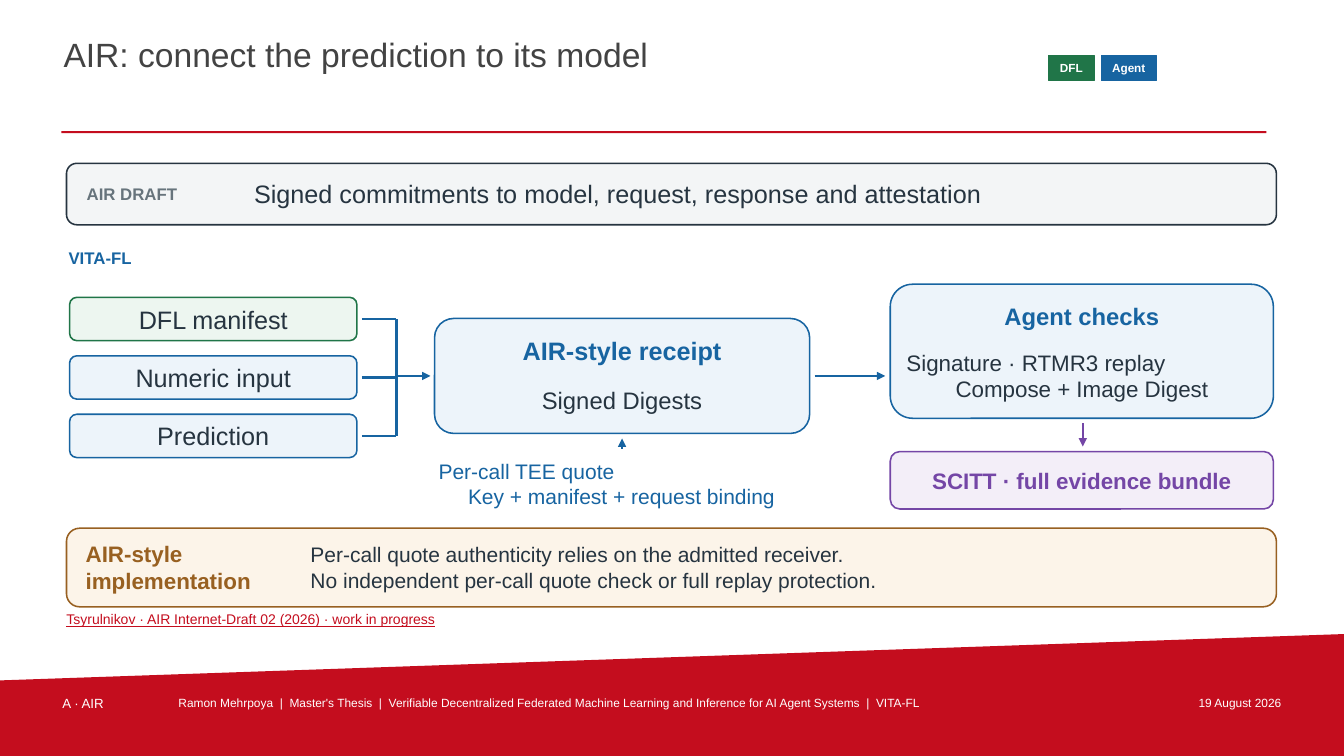
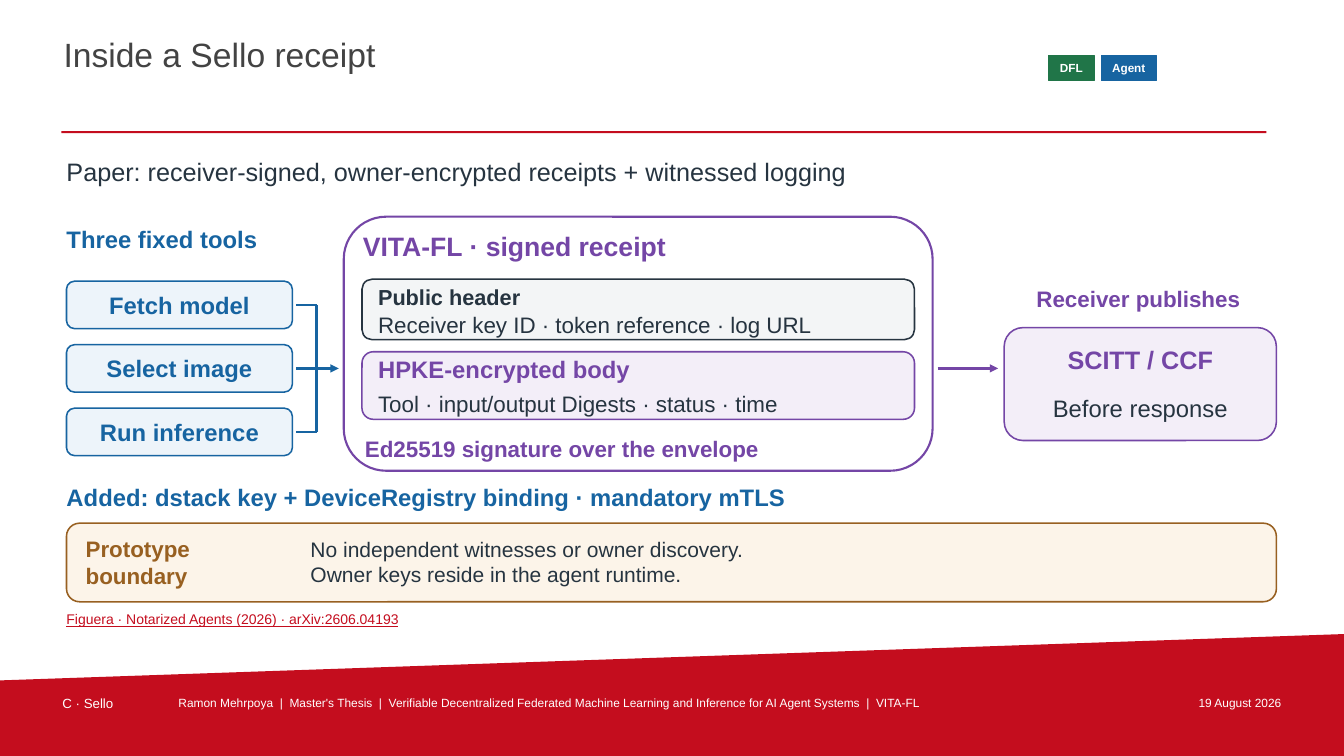
import pptx
import pptx.dml.color
import pptx.enum.shapes
import pptx.enum.text
import pptx.oxml
import pptx.oxml.ns
import pptx.util

Inches = pptx.util.Inches
Pt = pptx.util.Pt
RGBColor = pptx.dml.color.RGBColor
MSO_SHAPE = pptx.enum.shapes.MSO_SHAPE
ALIGN = pptx.enum.text.PP_ALIGN
ANCHOR = pptx.enum.text.MSO_ANCHOR

FONT = "Arial"
WHITE = RGBColor(0xFF, 0xFF, 0xFF)
RED = RGBColor(0xC4, 0x0D, 0x1E)
TITLE_GREY = RGBColor(0x43, 0x43, 0x43)
INK = RGBColor(0x26, 0x34, 0x40)
GREY = RGBColor(0x67, 0x74, 0x7C)
GREY_TINT = RGBColor(0xF3, 0xF5, 0xF6)
BLUE = RGBColor(0x17, 0x64, 0xA1)
BLUE_TINT = RGBColor(0xED, 0xF4, 0xFA)
GREEN = RGBColor(0x20, 0x75, 0x48)
GREEN_TINT = RGBColor(0xED, 0xF6, 0xF0)
PURPLE = RGBColor(0x74, 0x46, 0xA6)
PURPLE_TINT = RGBColor(0xF3, 0xEE, 0xF8)
BROWN = RGBColor(0x98, 0x60, 0x21)
BROWN_TINT = RGBColor(0xFC, 0xF4, 0xE9)

LEFT, WIDTH = 0.66, 12
THESIS = ("Ramon Mehrpoya  |  Master's Thesis  |  Verifiable Decentralized Federated "
          "Machine Learning and Inference for AI Agent Systems  |  VITA-FL")
DATE = "19 August 2026"


def write(tf, text, size=16, color=INK, bold=False, underline=False, align=ALIGN.LEFT,
          first_align=None, anchor=ANCHOR.MIDDLE, inset=0):
    """Fill a text frame, one paragraph per line; first_align overrides the first line."""
    tf.word_wrap = True
    tf.vertical_anchor = anchor
    tf.margin_left = tf.margin_right = tf.margin_top = tf.margin_bottom = Inches(inset)
    for i, line in enumerate(text.split("\n")):
        p = tf.add_paragraph() if i else tf.paragraphs[0]
        p.alignment = first_align if first_align is not None and i == 0 else align
        r = p.add_run()
        r.text = line
        r.font.name = FONT
        r.font.size = Pt(size)
        r.font.bold = bold
        r.font.underline = underline
        r.font.color.rgb = color


def add_text(s, x, y, w, h, text, **fmt):
    box = s.shapes.add_textbox(Inches(x), Inches(y), Inches(w), Inches(h))
    write(box.text_frame, text, **fmt)


def paint(sp, fill, line=None, line_width=1.1):
    sp.shadow.inherit = False
    sp.fill.solid()
    sp.fill.fore_color.rgb = fill
    if line is None:
        sp.line.fill.background()
    else:
        sp.line.color.rgb = line
        sp.line.width = Pt(line_width)


def add_box(s, x, y, w, h, fill, line=None, text=None, line_width=1.1,
            shape=MSO_SHAPE.ROUNDED_RECTANGLE, **fmt):
    sp = s.shapes.add_shape(shape, Inches(x), Inches(y), Inches(w), Inches(h))
    paint(sp, fill, line, line_width)
    if text:
        write(sp.text_frame, text, align=ALIGN.CENTER, **fmt)


def add_line(s, x1, y1, x2, y2, color=BLUE, width=1.8, arrow=False):
    cxn = s.shapes.add_connector(pptx.enum.shapes.MSO_CONNECTOR.STRAIGHT,
                                 Inches(x1), Inches(y1), Inches(x2), Inches(y2))
    cxn.line.color.rgb = color
    cxn.line.width = Pt(width)
    if arrow:
        tail = pptx.oxml.parse_xml(
            f'<a:tailEnd {pptx.oxml.ns.nsdecls("a")} type="triangle"/>')
        cxn.line._get_or_add_ln().append(tail)
    cxn._element.spPr.append(
        pptx.oxml.parse_xml(f'<a:effectLst {pptx.oxml.ns.nsdecls("a")}/>'))


def add_merge(s, x, bus_x, tip_x, ys, tip_y, width, arrow_width):
    """Join stems at the heights ys on one vertical line, which leads to an arrow."""
    for y in ys:
        add_line(s, x, y, bus_x, y, width=width)
    add_line(s, bus_x, ys[0], bus_x, ys[-1], width=width)
    add_line(s, bus_x, tip_y, tip_x, tip_y, width=arrow_width, arrow=True)


def add_band(s):
    points = [(0, 6.75), (13.33, 6.29), (13.33, 7.5), (0, 7.5)]
    builder = s.shapes.build_freeform(*[Inches(v) for v in points[0]])
    builder.add_line_segments([(Inches(x), Inches(y)) for x, y in points[1:]])
    paint(builder.convert_to_shape(), RED)


def add_frame(prs, title, section):
    """Add a slide with title, rule, tags and footer."""
    s = prs.slides.add_slide(prs.slide_layouts[6])
    add_band(s)
    top = dict(anchor=ANCHOR.TOP, inset=0.02)
    add_text(s, 0.61, 0.32, 9.65, 0.62, title, size=24, color=TITLE_GREY, **top)
    add_box(s, 0.61, 1.3, 11.95, 0.02, RED, shape=MSO_SHAPE.RECTANGLE)
    footer = dict(color=WHITE, **top)
    add_text(s, 0.6, 6.88, 1.1, 0.22, section, size=9.5, **footer)
    add_text(s, 1.75, 6.88, 9.35, 0.22, THESIS, size=8.5, **footer)
    add_text(s, 11.2, 6.88, 1.53, 0.22, DATE, size=8.5, align=ALIGN.RIGHT, **footer)
    for x, w, color, tag in [(10.4, 0.45, GREEN, "DFL"), (10.92, 0.55, BLUE, "Agent")]:
        add_box(s, x, 0.55, w, 0.25, color, color, tag, line_width=0.55,
                shape=MSO_SHAPE.RECTANGLE, size=8.4, color=WHITE, bold=True)
    return s


def add_caveat(s, y, label, text):
    add_box(s, LEFT, y, WIDTH, 0.78, BROWN_TINT, BROWN)
    add_text(s, 0.85, y + 0.07, 2.1, 0.64, label, color=BROWN, bold=True)
    add_text(s, 3.08, y + 0.08, 9.33, 0.61, text, size=15)


def add_source(s, text):
    add_text(s, LEFT, 6.04, WIDTH, 0.2, text, size=10, color=RED, underline=True)


def add_card(s, x, y, w, h, heading, body, fill, line, heading_size=18, body_size=17,
             first_align=None):
    add_box(s, x, y, w, h, fill, line)
    add_text(s, x + 0.16, y + 0.13, w - 0.32, 0.37, heading, size=heading_size,
             color=line, bold=True, align=ALIGN.CENTER)
    add_text(s, x + 0.16, y + 0.56, w - 0.32, h - 0.64, body, size=body_size,
             align=ALIGN.CENTER, first_align=first_align)


def add_stack(s, x, y, w, h, pitch, items, **fmt):
    """Stack boxes of (text, fill, line) and return their middle heights."""
    tops = [y + i * pitch for i in range(len(items))]
    for top, (text, fill, line) in zip(tops, items):
        add_box(s, x, top, w, h, fill, line, text, **fmt)
    return [top + h / 2 for top in tops]


def build_air(prs):
    s = add_frame(prs, "AIR: connect the prediction to its model", "A · AIR")
    add_box(s, LEFT, 1.62, WIDTH, 0.61, GREY_TINT, INK)
    add_text(s, 0.86, 1.8, 1.45, 0.25, "AIR DRAFT", size=12, color=GREY, bold=True)
    add_text(s, 2.52, 1.75, 9.9, 0.34,
             "Signed commitments to model, request, response and attestation", size=18)
    add_text(s, 0.68, 2.43, 1.32, 0.25, "VITA-FL", size=12, color=BLUE, bold=True)

    inputs = [("DFL manifest", GREEN_TINT, GREEN),
              ("Numeric input", BLUE_TINT, BLUE),
              ("Prediction", BLUE_TINT, BLUE)]
    flow_y = 3.73
    ys = add_stack(s, 0.69, 2.95, 2.85, 0.43, 0.58, inputs, size=18)
    add_merge(s, 3.59, 3.93, 4.27, ys, flow_y, 1.8, 1.8)

    add_card(s, 4.31, 3.16, 3.72, 1.14, "AIR-style receipt", "Signed Digests",
             BLUE_TINT, BLUE)
    add_text(s, 4.35, 4.49, 3.63, 0.61,
             "Per-call TEE quote\nKey + manifest + request binding",
             size=15, color=BLUE, align=ALIGN.CENTER, first_align=ALIGN.LEFT)
    add_line(s, 6.17, 4.45, 6.17, 4.35, arrow=True)
    add_line(s, 8.08, flow_y, 8.78, flow_y, arrow=True)

    add_card(s, 8.83, 2.82, 3.8, 1.33, "Agent checks",
             "Signature · RTMR3 replay\nCompose + Image Digest", BLUE_TINT, BLUE,
             heading_size=17, body_size=16, first_align=ALIGN.LEFT)
    add_line(s, 10.74, 4.2, 10.74, 4.43, color=PURPLE, arrow=True)
    add_box(s, 8.83, 4.48, 3.8, 0.57, PURPLE_TINT, PURPLE,
            "SCITT · full evidence bundle", color=PURPLE, bold=True)

    add_caveat(s, 5.24, "AIR-style\nimplementation",
               "Per-call quote authenticity relies on the admitted receiver.\n"
               "No independent per-call quote check or full replay protection.")
    add_source(s, "Tsyrulnikov · AIR Internet-Draft 02 (2026) · work in progress")


def build_sello(prs):
    s = add_frame(prs, "Inside a Sello receipt", "C · Sello")
    add_text(s, LEFT, 1.49, WIDTH, 0.42,
             "Paper: receiver-signed, owner-encrypted receipts + witnessed logging", size=18)

    blue_bold = dict(size=17, color=BLUE, bold=True)
    add_text(s, LEFT, 2.2, 2.24, 0.34, "Three fixed tools", **blue_bold)
    tools = [(name, BLUE_TINT, BLUE)
             for name in ("Fetch model", "Select image", "Run inference")]
    ys = add_stack(s, LEFT, 2.79, 2.24, 0.47, 0.63, tools, **blue_bold)
    flow_y = ys[1]
    add_merge(s, 2.94, 3.14, 3.36, ys, flow_y, 1.6, 1.9)

    purple_bold = dict(color=PURPLE, bold=True)
    add_box(s, 3.41, 2.15, 5.84, 2.52, WHITE, PURPLE, line_width=1.5)
    add_text(s, 3.6, 2.26, 5.46, 0.36, "VITA-FL · signed receipt", size=19, **purple_bold)
    add_box(s, 3.59, 2.77, 5.48, 0.6, GREY_TINT, INK)
    add_text(s, 3.75, 2.8, 5.16, 0.29, "Public header", size=15.5, bold=True)
    add_text(s, 3.75, 3.07, 5.16, 0.3, "Receiver key ID · token reference · log URL")
    add_box(s, 3.59, 3.49, 5.48, 0.67, PURPLE_TINT, PURPLE)
    add_text(s, 3.75, 3.53, 5.16, 0.27, "HPKE-encrypted body", size=17, **purple_bold)
    add_text(s, 3.75, 3.85, 5.16, 0.3, "Tool · input/output Digests · status · time")
    add_text(s, 3.62, 4.3, 5.42, 0.3, "Ed25519 signature over the envelope", **purple_bold)

    add_line(s, 9.3, flow_y, 9.9, flow_y, color=PURPLE, width=1.9, arrow=True)
    add_text(s, 9.92, 2.8, 2.74, 0.32, "Receiver publishes", align=ALIGN.CENTER,
             **purple_bold)
    add_card(s, 9.96, 3.25, 2.7, 1.12, "SCITT / CCF", "Before response",
             PURPLE_TINT, PURPLE)

    add_text(s, LEFT, 4.76, WIDTH, 0.34,
             "Added: dstack key + DeviceRegistry binding · mandatory mTLS", **blue_bold)
    add_caveat(s, 5.19, "Prototype\nboundary",
               "No independent witnesses or owner discovery.\n"
               "Owner keys reside in the agent runtime.")
    add_source(s, "Figuera · Notarized Agents (2026) · arXiv:2606.04193")


def main():
    prs = pptx.Presentation()
    prs.slide_width = Inches(13.33)
    prs.slide_height = Inches(7.5)
    build_air(prs)
    build_sello(prs)
    prs.save("out.pptx")


if __name__ == "__main__":
    main()
